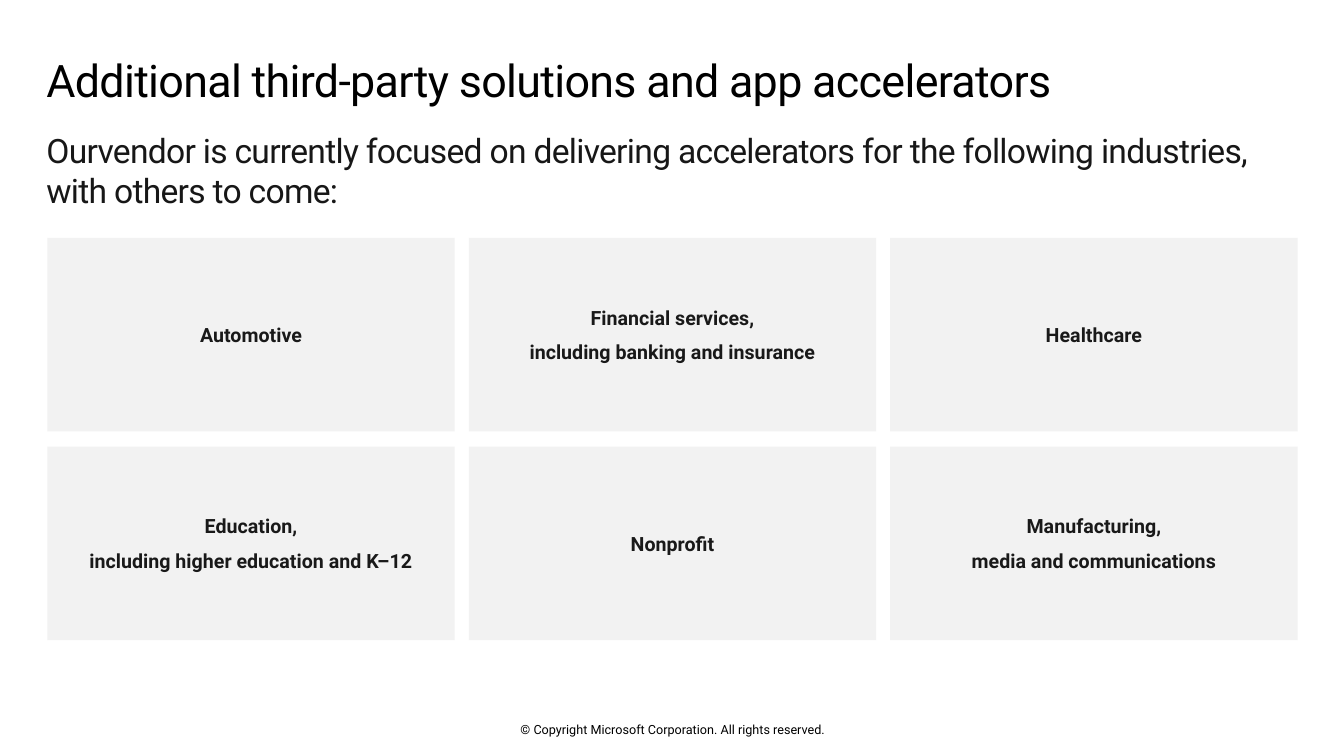
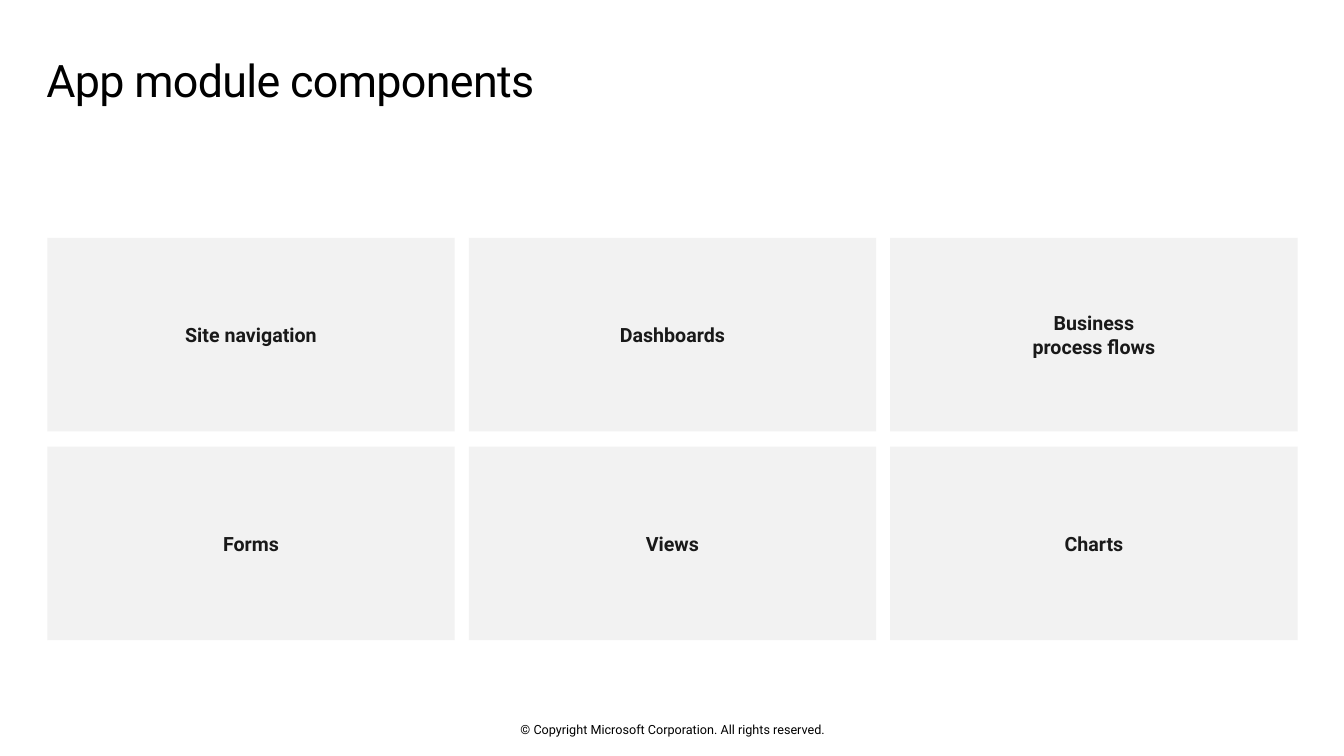
from dataclasses import dataclass

from lxml.etree import SubElement
from pptx import Presentation
from pptx.dml.color import RGBColor
from pptx.enum.shapes import MSO_SHAPE as Shape
from pptx.enum.text import MSO_ANCHOR as Anchor, MSO_AUTO_SIZE as AutoSize, PP_ALIGN as Align
from pptx.oxml.ns import qn
from pptx.slide import Slide
from pptx.text.text import TextFrame
from pptx.util import Inches, Pt


@dataclass(frozen=True)
class TextStyle:
    size: float
    color: RGBColor
    align: Align = Align.LEFT
    bold: bool = False
    tracking: float = 0
    line_spacing: float = 1.0
    space_before: float = 0
    space_after: float = 0


@dataclass(frozen=True)
class Theme:
    font: str = "Roboto"
    card_fill: RGBColor = RGBColor(0xF2, 0xF2, 0xF2)
    title: TextStyle = TextStyle(
        32, RGBColor(0, 0, 0), tracking=-0.5, line_spacing=0.9)
    intro: TextStyle = TextStyle(
        24, RGBColor(0x17, 0x17, 0x17), tracking=-0.5, space_after=6)
    card: TextStyle = TextStyle(
        14, RGBColor(0x19, 0x19, 0x19), Align.CENTER, bold=True,
        space_before=2, space_after=6)
    footer: TextStyle = TextStyle(9, RGBColor(0, 0, 0), Align.CENTER)


@dataclass(frozen=True)
class Box:
    left: float
    top: float
    width: float
    height: float

    def lengths(self) -> tuple:
        return tuple(Inches(v) for v in (self.left, self.top, self.width, self.height))


@dataclass(frozen=True)
class CardSlide:
    title: str
    cards: tuple[tuple[str, ...], ...]  # one tuple of paragraphs per card
    intro: str = ""


THEME = Theme()
FOOTER = "© Copyright Microsoft Corporation. All rights reserved."
TITLE_BOX = Box(0.46, 0.48, 12.4, 0.74)
INTRO_BOX = Box(0.46, 1.29, 12.39, 0.81)
FOOTER_BOX = Box(4.42, 7.16, 4.5, 0.15)

# Card grid
FIRST_CARD = Box(0.47, 2.36, 4.04, 1.92)
COLUMNS = 3
COLUMN_GAP, ROW_GAP = 0.14, 0.15

TITLE_AND_BODY, TITLE_ONLY = 1, 5  # layout numbers

SLIDES = (
    CardSlide(
        "Additional third-party solutions and app accelerators",
        (
            ("Automotive",),
            ("Financial services,", "including banking and insurance"),
            ("Healthcare",),
            ("Education,", "including higher education and K–12"),
            ("Nonprofit",),
            ("Manufacturing,", "media and communications"),
        ),
        intro="Ourvendor is currently focused on delivering accelerators "
              "for the following industries, with others to come:",
    ),
    CardSlide(
        "App module components",
        (
            ("Site navigation",),
            ("Dashboards",),
            ("Business\vprocess flows",),
            ("Forms",),
            ("Views",),
            ("Charts",),
        ),
    ),
)


def write_text(frame: TextFrame, lines: tuple[str, ...], style: TextStyle,
               anchor: Anchor = Anchor.TOP,
               insets: tuple[float, float, float, float] = (0, 0, 0, 0)) -> None:
    """Fill a text frame; insets run left, top, right, bottom."""
    frame.word_wrap = True
    frame.auto_size = AutoSize.NONE
    frame.vertical_anchor = anchor
    (frame.margin_left, frame.margin_top,
     frame.margin_right, frame.margin_bottom) = (Inches(v) for v in insets)
    frame.text = "\n".join(lines)
    for index, paragraph in enumerate(frame.paragraphs):
        # Plain paragraphs: no bullet and no hanging indent
        properties = paragraph._p.get_or_add_pPr()
        properties.set("marL", "0")
        properties.set("indent", "0")
        SubElement(properties, qn("a:buNone"))
        paragraph.alignment = style.align
        paragraph.line_spacing = style.line_spacing
        paragraph.space_before = Pt(style.space_before if index else 0)
        paragraph.space_after = Pt(style.space_after)
        font = paragraph.font
        font.name = THEME.font
        font.size = Pt(style.size)
        font.bold = style.bold
        font.color.rgb = style.color
        if style.tracking:
            for run in paragraph.runs:
                run._r.get_or_add_rPr().set("spc", str(round(style.tracking * 100)))


def place(shape, box: Box) -> None:
    shape.left, shape.top, shape.width, shape.height = box.lengths()


def add_footer(slide: Slide) -> None:
    footer = slide.shapes.add_textbox(*FOOTER_BOX.lengths())
    write_text(footer.text_frame, (FOOTER,), THEME.footer, Anchor.MIDDLE)


def add_card(slide: Slide, index: int, lines: tuple[str, ...]) -> None:
    row, column = divmod(index, COLUMNS)
    box = Box(
        FIRST_CARD.left + column * (FIRST_CARD.width + COLUMN_GAP),
        FIRST_CARD.top + row * (FIRST_CARD.height + ROW_GAP),
        FIRST_CARD.width,
        FIRST_CARD.height,
    )
    card = slide.shapes.add_shape(Shape.RECTANGLE, *box.lengths())
    card.shadow.inherit = False
    card.fill.solid()
    card.fill.fore_color.rgb = THEME.card_fill
    card.line.fill.background()
    write_text(card.text_frame, lines, THEME.card, Anchor.MIDDLE, (0.1, 0.1, 0.1, 0.1))


def add_card_slide(presentation, content: CardSlide) -> None:
    layout = TITLE_AND_BODY if content.intro else TITLE_ONLY
    slide = presentation.slides.add_slide(presentation.slide_layouts[layout])

    # Heading
    title = slide.shapes.title
    place(title, TITLE_BOX)
    write_text(title.text_frame, (content.title,), THEME.title, insets=(0, 0.1, 0.16, 0.1))
    if content.intro:
        intro = slide.placeholders[1]
        place(intro, INTRO_BOX)
        write_text(intro.text_frame, (content.intro,), THEME.intro)

    # Cards and footer
    for index, lines in enumerate(content.cards):
        add_card(slide, index, lines)
    add_footer(slide)


def main() -> None:
    presentation = Presentation()
    presentation.slide_width = Inches(13.33)
    presentation.slide_height = Inches(7.5)
    for content in SLIDES:
        add_card_slide(presentation, content)
    presentation.save("out.pptx")


if __name__ == "__main__":
    main()
